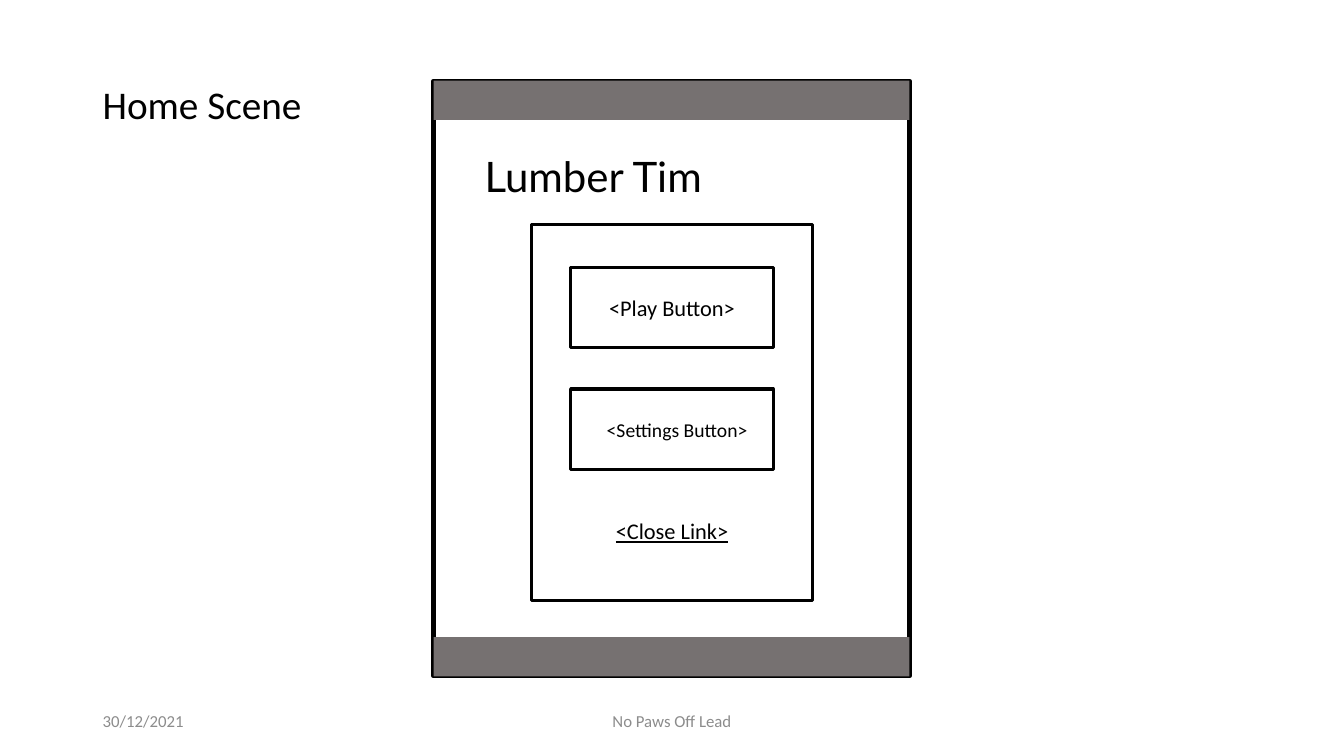
from pptx import Presentation
from pptx.dml.color import RGBColor
from pptx.enum.shapes import MSO_SHAPE
from pptx.enum.text import MSO_ANCHOR, PP_ALIGN
from pptx.util import Inches, Pt

BLACK, WHITE, BAR_GREY, FOOTER_GREY = "000000", "FFFFFF", "767171", "8C8C8C"


def color(hex_text):
    return RGBColor.from_string(hex_text)


def write(frame, text, size=16, font="Calibri", ink=BLACK, align=PP_ALIGN.CENTER,
          anchor=MSO_ANCHOR.MIDDLE, underline=False, spacing=None, before=None):
    frame.word_wrap = True
    frame.vertical_anchor = anchor
    para = frame.paragraphs[0]
    para.alignment = align
    if spacing:
        para.line_spacing = spacing
    if before:
        para.space_before = Pt(before)
    span = para.add_run()
    span.text = text
    span.font.size = Pt(size)
    span.font.name = font
    span.font.color.rgb = color(ink)
    span.font.underline = underline


def add_text(page, box, text, **style):
    label = page.shapes.add_textbox(*map(Inches, box))
    write(label.text_frame, text, **style)


def add_rect(page, box, fill=None, line=None):
    rect = page.shapes.add_shape(MSO_SHAPE.RECTANGLE, *map(Inches, box))
    rect.shadow.inherit = False
    if fill:
        rect.fill.solid()
        rect.fill.fore_color.rgb = color(fill)
    else:
        rect.fill.background()
    if line:
        rect.line.color.rgb = color(BLACK)
        rect.line.width = Pt(line)
    else:
        rect.line.fill.background()
    return rect


def draw_device(page, box):
    """Screen outline with a grey bar at the top and bottom."""
    left, top, width, height = box
    bar = 0.39
    add_rect(page, box, line=3)
    for bar_top in (top, top + height - bar):
        add_rect(page, (left, bar_top, width, bar), fill=BAR_GREY)


def draw_menu(page, box):
    """Framed menu with two buttons and a link."""
    left, top, width, height = box
    add_rect(page, box, fill=WHITE, line=2.25)

    # Buttons, centred in the menu; the settings label sits slightly right
    button_width, button_height, step = 2.01, 0.8, 1.21
    button_left = left + (width - button_width) / 2
    buttons = [("<Play Button>", 16, 0.1), ("<Settings Button>", 14, 0.2)]
    for index, (text, size, inset) in enumerate(buttons):
        button_top = top + 0.42 + index * step
        button = add_rect(page, (button_left, button_top, button_width, button_height),
                          fill=WHITE, line=2.25)
        button.text_frame.margin_left = Inches(inset)
        write(button.text_frame, text, size=size)

    # Close link
    link_width = 1.62
    add_text(page, (left + (width - link_width) / 2, top + 2.85, link_width, 0.37),
             "<Close Link>", anchor=MSO_ANCHOR.TOP, underline=True)


def draw_footer(page, box):
    left, top, width, height = box
    center_width = 4.5
    add_text(page, (left, top, 3, height), "30/12/2021", size=12,
             ink=FOOTER_GREY, align=PP_ALIGN.LEFT)
    add_text(page, (left + (width - center_width) / 2, top, center_width, height),
             "No Paws Off Lead", size=12, ink=FOOTER_GREY)


def draw_home_scene(page, box):
    left, top, width, height = box
    draw_device(page, (left + 4.3, top + 0.8, 4.72, 5.91))
    draw_footer(page, (left + 0.92, top + 6.95, width - 1.84, 0.4))
    # Scene name and game title
    add_text(page, (left + 0.92, top + 0.8, 3.14, 5.91), "Home Scene", size=28,
             align=PP_ALIGN.LEFT, anchor=MSO_ANCHOR.TOP, spacing=0.9, before=10)
    add_text(page, (left + 4.42, top + 1.44, 2.93, 0.61), "Lumber Tim", size=30,
             font="Lato", anchor=MSO_ANCHOR.TOP)
    draw_menu(page, (left + 5.27, top + 2.23, 2.79, 3.73))


deck = Presentation()
deck.slide_width, deck.slide_height = Inches(13.33), Inches(7.5)
home_page = deck.slides.add_slide(deck.slide_layouts[6])
draw_home_scene(home_page, (0, 0, 13.33, 7.5))
deck.save("out.pptx")
